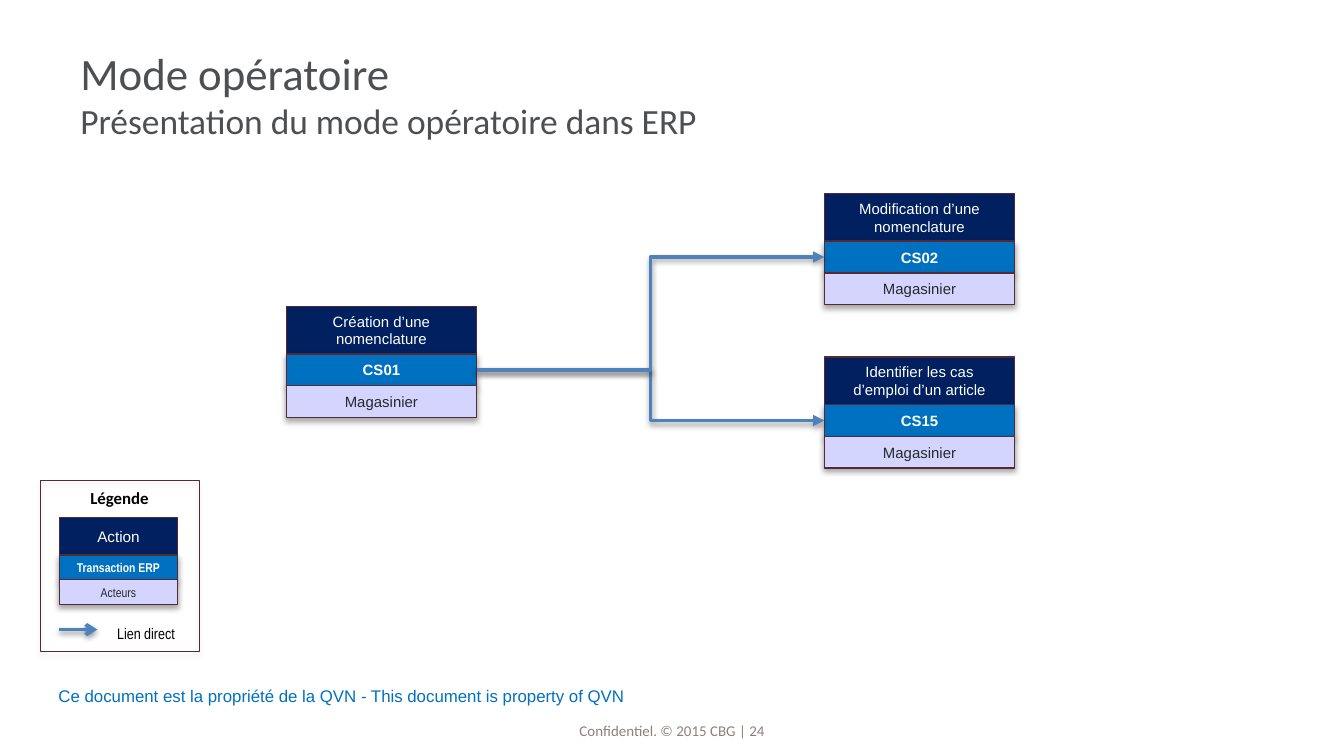
from dataclasses import dataclass

from lxml.etree import SubElement
from pptx import Presentation
from pptx.dml.color import RGBColor
from pptx.enum.shapes import MSO_CONNECTOR as Link, MSO_SHAPE as Preset
from pptx.enum.text import MSO_ANCHOR as Anchor, PP_ALIGN as Align
from pptx.oxml.ns import qn
from pptx.util import Cm, Pt


@dataclass(frozen=True)
class Theme:
    navy: str = "002060"
    blue: str = "0070C0"
    lavender: str = "D3D5FF"
    border: str = "552A37"
    link: str = "4F81BD"
    heading: str = "4D4F53"
    ink: str = "26282A"
    black: str = "000000"
    white: str = "FFFFFF"
    muted: str = "8D817B"
    body: str = "Arial"
    narrow: str = "Arial Narrow"
    display: str = "Calibri"
    title_size: float = 24
    subtitle_size: float = 19
    notice_size: float = 9
    step_size: float = 8
    legend_size: float = 8.2
    legend_small: float = 6.8


THEME = Theme()


@dataclass(frozen=True)
class Box:
    """Left, top, width and height in centimetres."""
    left: float
    top: float
    width: float
    height: float

    def lengths(self):
        return Cm(self.left), Cm(self.top), Cm(self.width), Cm(self.height)


@dataclass(frozen=True)
class Step:
    left: float
    top: float
    action: str
    transaction: str
    actor: str


@dataclass(frozen=True)
class CardStyle:
    width: float
    heights: tuple
    sizes: tuple
    fonts: tuple


STEP_STYLE = CardStyle(3.6, (0.9, 0.6, 0.6), (THEME.step_size,) * 3, (THEME.body,) * 3)
LEGEND_STYLE = CardStyle(
    2.24, (0.71, 0.47, 0.47),
    (THEME.legend_size, THEME.legend_small, THEME.legend_small),
    (THEME.body, THEME.narrow, THEME.narrow))

CREATION = Step(5.41, 5.79, "Création d’une nomenclature", "CS01", "Magasinier")
FOLLOW_UPS = (
    Step(15.58, 6.75, "Identifier les cas d’emploi d’un article", "CS15", "Magasinier"),
    Step(15.58, 3.66, "Modification d’une nomenclature", "CS02", "Magasinier"),
)
LEGEND_CARD = Step(1.12, 9.78, "Action", "Transaction ERP", "Acteurs")


def write(frame, text: str, *, size: float, color: str, font: str = THEME.body,
          bold: bool = False, align=Align.CENTER, anchor=Anchor.MIDDLE,
          wrap: bool = True, more: bool = False) -> None:
    """Fill the frame's first paragraph, or add a paragraph when more is set."""
    frame.word_wrap = wrap
    frame.vertical_anchor = anchor
    paragraph = frame.add_paragraph() if more else frame.paragraphs[0]
    paragraph.alignment = align
    run = paragraph.add_run()
    run.text = text
    run.font.size = Pt(size)
    run.font.name = font
    run.font.bold = bold
    run.font.color.rgb = RGBColor.from_string(color)


def add_label(slide, box: Box, text: str, **style):
    frame = slide.shapes.add_textbox(*box.lengths()).text_frame
    write(frame, text, **style)
    return frame


def cast_shadow(effects, opacity: int, distance: float) -> None:
    shadow = SubElement(effects, qn("a:outerShdw"), blurRad=str(Pt(3.1)),
                        dist=str(Pt(distance)), dir="5400000", rotWithShape="0")
    color = SubElement(shadow, qn("a:srgbClr"), val=THEME.black)
    SubElement(color, qn("a:alpha"), val=str(opacity * 1000))


def add_panel(slide, box: Box, fill: str | None, border: float = 0.75,
              shadow: bool = True):
    panel = slide.shapes.add_shape(Preset.RECTANGLE, *box.lengths())
    if fill:
        panel.fill.solid()
        panel.fill.fore_color.rgb = RGBColor.from_string(fill)
    else:
        panel.fill.background()
    panel.line.color.rgb = RGBColor.from_string(THEME.border)
    panel.line.width = Pt(border)
    panel.shadow.inherit = False
    if shadow:
        cast_shadow(panel.element.spPr.find(qn("a:effectLst")), 35, 1.8)
    return panel


def add_card(slide, step: Step, style: CardStyle = STEP_STYLE):
    """Stack the three bands of a step and return the transaction band."""
    bands = []
    top = step.top
    rows = zip((step.action, step.transaction, step.actor),
               (THEME.navy, THEME.blue, THEME.lavender),
               (THEME.white, THEME.white, THEME.ink),
               style.heights, style.sizes, style.fonts)
    for index, (text, fill, color, height, size, font) in enumerate(rows):
        band = add_panel(slide, Box(step.left, top, style.width, height), fill,
                         shadow=index > 0)
        write(band.text_frame, text, size=size, color=color, font=font, bold=index == 1)
        bands.append(band)
        top += height
    return bands[1]


def add_arrow(slide, kind, start: tuple, end: tuple, head: str):
    arrow = slide.shapes.add_connector(kind, *start, *end)
    arrow.line.color.rgb = RGBColor.from_string(THEME.link)
    arrow.line.width = Pt(2)
    SubElement(arrow.line._get_or_add_ln(), qn("a:tailEnd"), type=head)
    cast_shadow(SubElement(arrow.element.spPr, qn("a:effectLst")), 38, 1.6)
    return arrow


def link_bands(slide, source, target) -> None:
    start = source.left + source.width, source.top + source.height // 2
    end = target.left, target.top + target.height // 2
    arrow = add_arrow(slide, Link.ELBOW, start, end, "triangle")
    arrow.begin_connect(source, 3)
    arrow.end_connect(target, 1)


def add_legend(slide) -> None:
    add_panel(slide, Box(0.76, 9.08, 3, 3.23), None, border=0.25)
    add_label(slide, Box(0.76, 9.09, 3, 0.64), "Légende", size=THEME.notice_size,
              color=THEME.black, font=THEME.display, bold=True, anchor=Anchor.TOP)
    add_card(slide, LEGEND_CARD, LEGEND_STYLE)
    add_arrow(slide, Link.STRAIGHT, (Cm(1.12), Cm(11.9)), (Cm(1.84), Cm(11.9)), "arrow")
    add_label(slide, Box(1.95, 11.68, 1.62, 0.61), "Lien direct", size=THEME.legend_size,
              color=THEME.black, font=THEME.narrow, anchor=Anchor.TOP, wrap=False)


def add_headings(slide) -> None:
    heading = {"color": THEME.heading, "font": THEME.display, "align": Align.LEFT}
    title = add_label(slide, Box(1.27, 0.58, 22.86, 2.39), "Mode opératoire",
                      size=THEME.title_size, **heading)
    write(title, "Présentation du mode opératoire dans ERP",
          size=THEME.subtitle_size, more=True, **heading)


def add_footer(slide) -> None:
    add_label(slide, Box(0.8, 12.85, 11.3, 0.61),
              "Ce document est la propriété de la QVN - This document is property of QVN",
              size=THEME.notice_size, color=THEME.blue)
    footer = add_label(slide, Box(8.64, 13.54, 8.13, 0.43), "Confidentiel. © 2015 CBG | 24",
                       size=THEME.step_size, color=THEME.muted, font=THEME.display,
                       anchor=Anchor.BOTTOM)
    footer.margin_left = footer.margin_right = footer.margin_top = footer.margin_bottom = 0


def main() -> None:
    deck = Presentation()
    deck.slide_width, deck.slide_height = Cm(25.4), Cm(14.29)
    slide = deck.slides.add_slide(deck.slide_layouts[6])
    add_footer(slide)
    add_headings(slide)
    add_legend(slide)
    creation = add_card(slide, CREATION)
    for step in FOLLOW_UPS:
        link_bands(slide, creation, add_card(slide, step))
    deck.save("out.pptx")


if __name__ == "__main__":
    main()
